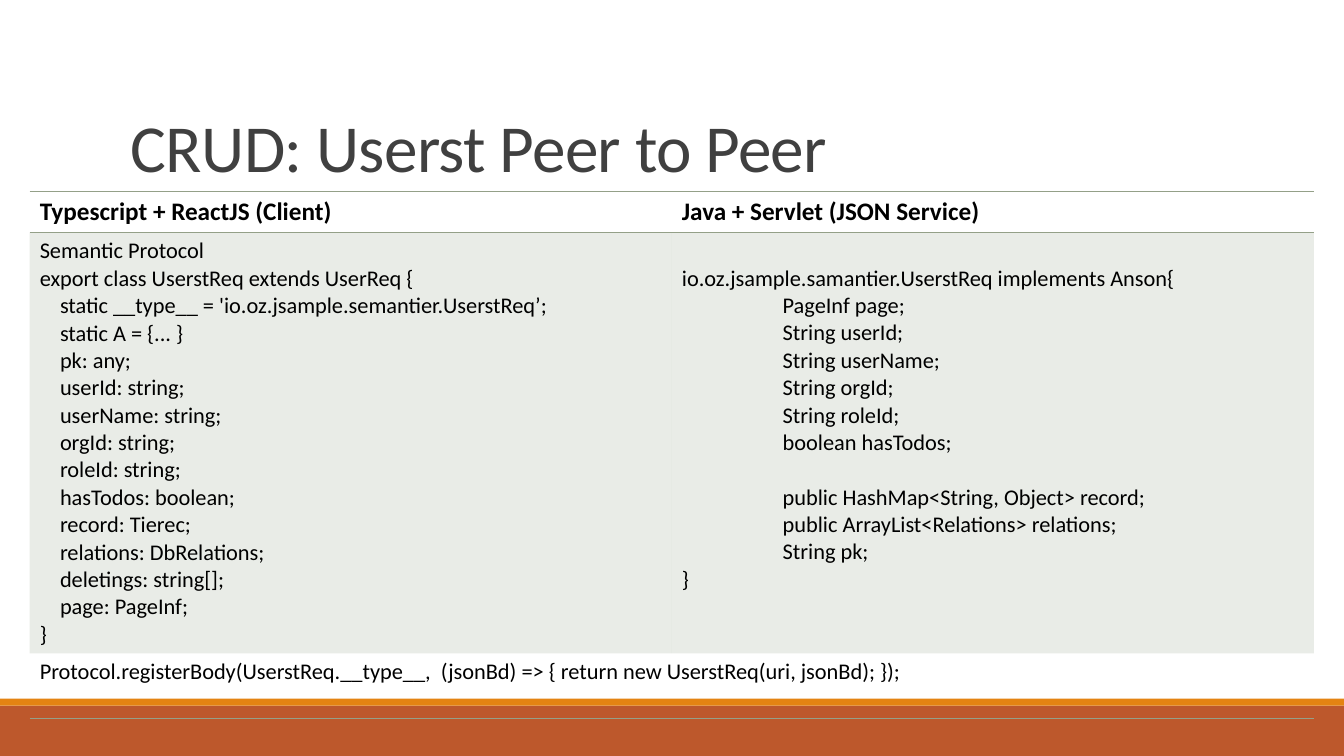
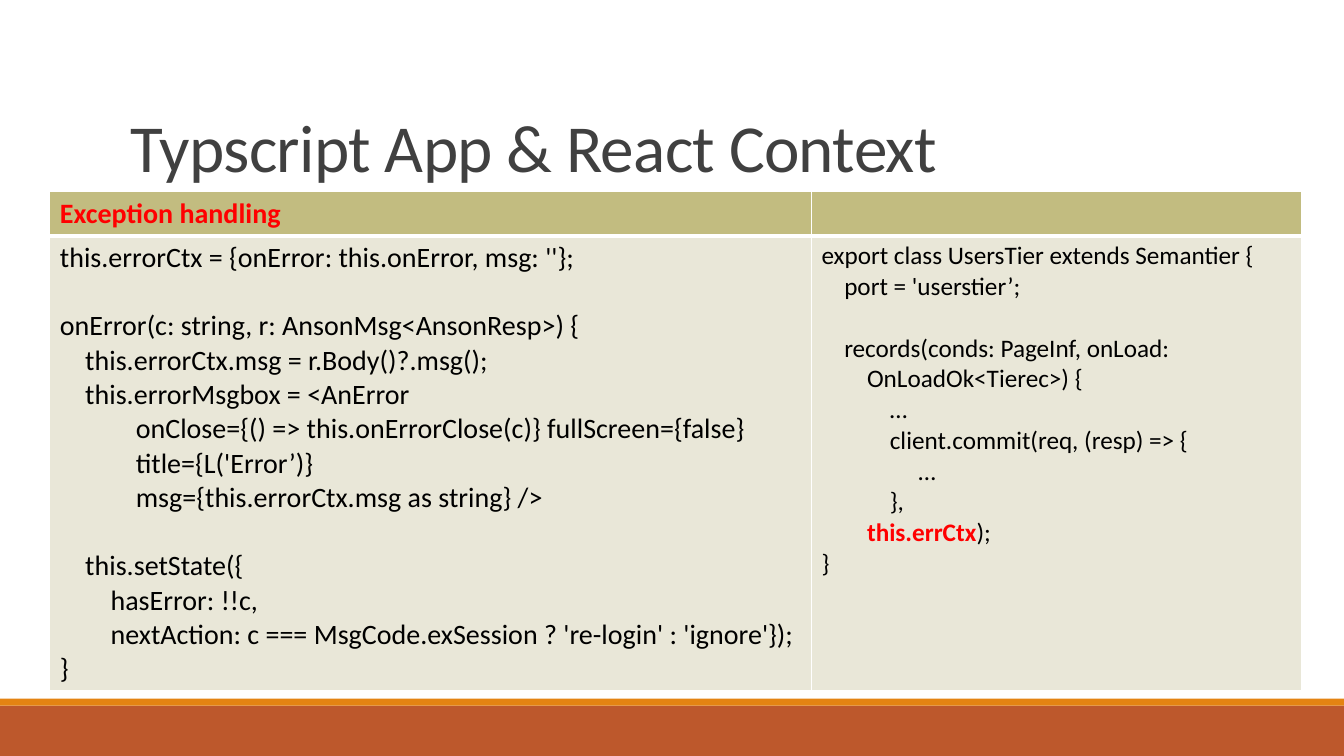
from dataclasses import dataclass

from lxml import etree
from pptx import Presentation
from pptx.dml.color import RGBColor
from pptx.enum.shapes import MSO_CONNECTOR, MSO_SHAPE
from pptx.enum.text import MSO_ANCHOR
from pptx.oxml.ns import qn
from pptx.util import Pt

RECT = MSO_SHAPE.RECTANGLE
LINE = MSO_CONNECTOR.STRAIGHT
BOTTOM = MSO_ANCHOR.BOTTOM
PLAIN = "{2D5ABB26-0587-4C30-8999-92F81FD0307C}"
SIDES = {"l": "a:lnL", "r": "a:lnR", "t": "a:lnT", "b": "a:lnB"}


@dataclass(frozen=True)
class Theme:
    """Holds the colours and type sizes."""
    font: str = "Calibri"
    rust: str = "BD582C"
    amber: str = "E48312"
    rule: str = "808080"
    head: str = "404040"
    ink: str = "000000"
    hot: str = "FF0000"
    sage: str = "94A088"
    olive: str = "C2BC80"
    sand: str = "E9E7D8"
    white: str = "FFFFFF"
    title: int = 48
    large: int = 20
    mid: int = 18
    small: int = 16
    space: float = 0.226
    lead: float = 1.22


T = Theme()

CLIENT = """Semantic Protocol
export class UserstReq extends UserReq {
    static __type__ = 'io.oz.jsample.semantier.UserstReq’;
    static A = {... }
    pk: any;
    userId: string;
    userName: string;
    orgId: string;
    roleId: string;
    hasTodos: boolean;
    record: Tierec;
    relations: DbRelations;
    deletings: string[];
    page: PageInf;
}"""

SERVICE = """
io.oz.jsample.samantier.UserstReq implements Anson{
    PageInf page;
    String userId;
    String userName;
    String orgId;
    String roleId;
    boolean hasTodos;

    public HashMap<String, Object> record;
    public ArrayList<Relations> relations;
    String pk;
}"""

REGISTER = ("Protocol.registerBody(UserstReq.__type__,  (jsonBd) => "
            "{ return new UserstReq(uri, jsonBd); });")

HANDLER = """this.errorCtx = {onError: this.onError, msg: ''};

onError(c: string, r: AnsonMsg<AnsonResp>) {
    this.errorCtx.msg = r.Body()?.msg();
    this.errorMsgbox = <AnError
            onClose={() => this.onErrorClose(c)} fullScreen={false}
            title={L('Error’)}
            msg={this.errorCtx.msg as string} />

    this.setState({
        hasError: !!c,
        nextAction: c === MsgCode.exSession ? 're-login' : 'ignore'});
}"""

TIER = """export class UsersTier extends Semantier {
    port = 'userstier’;

    records(conds: PageInf, onLoad:
        OnLoadOk<Tierec>) {
            …
            client.commit(req, (resp) => {
                 …
            },
        this.errCtx);
}"""


def add_run(para, text, size, color=T.ink, bold=False):
    """Adds one styled run to a paragraph."""
    run = para.add_run()
    run.text = text
    font = run.font
    font.name, font.size, font.bold = T.font, Pt(size), bold
    font.color.rgb = RGBColor.from_string(color)
    return run


def add_code(cell, code, size, unit=None, mark=None):
    """Sets code in a cell, turning leading spaces and empty lines into indents and gaps."""
    unit = unit or size * T.space
    gap, para = 0, None
    for row in code.split("\n"):
        text = row.lstrip()
        if not text:
            gap += size * T.lead
            continue
        if para is None:
            para = cell.text_frame.paragraphs[0]
            cell.margin_top = Pt(3.6 + gap)
        else:
            para = cell.text_frame.add_paragraph()
            para.space_before = Pt(gap)
        gap = 0
        inset = Pt((len(row) - len(text)) * unit)
        para._p.get_or_add_pPr().set("marL", str(inset))
        if mark and mark in text:
            before, after = text.split(mark)
            if before:
                add_run(para, before, size)
            add_run(para, mark, size, T.hot, True)
            add_run(para, after, size)
        else:
            add_run(para, text, size)


def add_head(cell, text, size, color=T.ink):
    """Sets a bold column heading."""
    add_run(cell.text_frame.paragraphs[0], text, size, color, True)


def paint(cell, color, alpha=None):
    """Fills a cell, with an opacity in percent if given."""
    cell.fill.solid()
    cell.fill.fore_color.rgb = RGBColor.from_string(color)
    if alpha:
        tone = cell._tc.tcPr.find(qn("a:solidFill")).find(qn("a:srgbClr"))
        etree.SubElement(tone, qn("a:alpha")).set("val", str(alpha * 1000))


def edge(cell, color, **widths):
    """Draws the cell borders named by side, with widths in points."""
    props = cell._tc.get_or_add_tcPr()
    names = [side for side in SIDES if side in widths]
    for spot, side in enumerate(names):
        line = etree.Element(qn(SIDES[side]), w=str(Pt(widths[side])))
        fill = etree.SubElement(line, qn("a:solidFill"))
        etree.SubElement(fill, qn("a:srgbClr")).set("val", color)
        props.insert(spot, line)


def add_grid(slide, left, top, cols, rows):
    """Adds an unstyled table with the given column widths and row heights."""
    frame = slide.shapes.add_table(len(rows), len(cols), Pt(left), Pt(top),
                                   Pt(sum(cols)), Pt(sum(rows)))
    table = frame.table
    table.first_row = table.horz_banding = False
    table._tbl.tblPr.find(qn("a:tableStyleId")).text = PLAIN
    for col, width in zip(table.columns, cols):
        col.width = Pt(width)
    for row, height in zip(table.rows, rows):
        row.height = Pt(height)
    for cell in table.iter_cells():
        cell.fill.background()
    return table


def add_band(slide, top, height, color):
    """Adds a full-width colour band."""
    band = slide.shapes.add_shape(RECT, 0, Pt(top), Pt(960), Pt(height))
    band.shadow.inherit = False
    band.fill.solid()
    band.fill.fore_color.rgb = RGBColor.from_string(color)
    band.line.fill.background()


def add_title(slide, text, left, top, width, height):
    """Adds the slide title, seated at the bottom of its box."""
    box = slide.shapes.add_textbox(Pt(left), Pt(top), Pt(width), Pt(height))
    frame = box.text_frame
    frame.word_wrap = True
    frame.vertical_anchor = BOTTOM
    para = frame.paragraphs[0]
    para.line_spacing = 0.85
    run = add_run(para, text, T.title, T.head)
    run.font._element.set("spc", "-50")


def add_page(deck, title):
    """Adds a slide with its bands, rule and title."""
    slide = deck.slides.add_slide(deck.slide_layouts[6])
    add_band(slide, 504, 36, T.rust)
    add_band(slide, 499, 5, T.amber)
    rule = slide.shapes.add_connector(LINE, Pt(94.3), Pt(136.8), Pt(879.1), Pt(136.8))
    rule.line.width = Pt(0.5)
    rule.line.color.rgb = RGBColor.from_string(T.rule)
    etree.SubElement(rule._element.spPr, qn("a:effectLst"))
    add_title(slide, title, 86.4, 22.6, 792, 114.2)
    return slide


def add_peer(slide, left, top):
    """Adds the table of client and service classes."""
    table = add_grid(slide, left, top, [458.7] * 2, [29.3, 300.7, 46.4])
    heads = "Typescript + ReactJS (Client)", "Java + Servlet (JSON Service)"
    for col, text in enumerate(heads):
        add_head(table.cell(0, col), text, T.mid)
        edge(table.cell(0, col), T.sage, t=1, b=1)
        paint(table.cell(1, col), T.sage, 20)
        edge(table.cell(2, col), T.sage, b=1)
    add_code(table.cell(1, 0), CLIENT, T.small)
    add_code(table.cell(1, 1), SERVICE, T.small, unit=18)
    table.cell(2, 0).merge(table.cell(2, 1))
    add_code(table.cell(2, 0), REGISTER, T.small)


def add_error(slide, left, top):
    """Adds the table on exception handling."""
    table = add_grid(slide, left, top, [544, 350.4], [31.6, 324.8])
    for col in range(2):
        paint(table.cell(0, col), T.olive)
        edge(table.cell(0, col), T.white, l=1, r=1, t=1, b=3)
        paint(table.cell(1, col), T.sand)
        edge(table.cell(1, col), T.white, l=1, r=1, t=3, b=1)
    add_head(table.cell(0, 0), "Exception handling", T.large, T.hot)
    add_code(table.cell(1, 0), HANDLER, T.large)
    add_code(table.cell(1, 1), TIER, T.mid, mark="this.errCtx")


def main():
    """Builds and saves the deck."""
    deck = Presentation()
    deck.slide_width, deck.slide_height = Pt(960), Pt(540)
    add_peer(add_page(deck, "CRUD: Userst Peer to Peer"), 21.2, 136.8)
    add_error(add_page(deck, "Typscript App & React Context"), 35.6, 136.8)
    deck.save("out.pptx")


if __name__ == "__main__":
    main()
